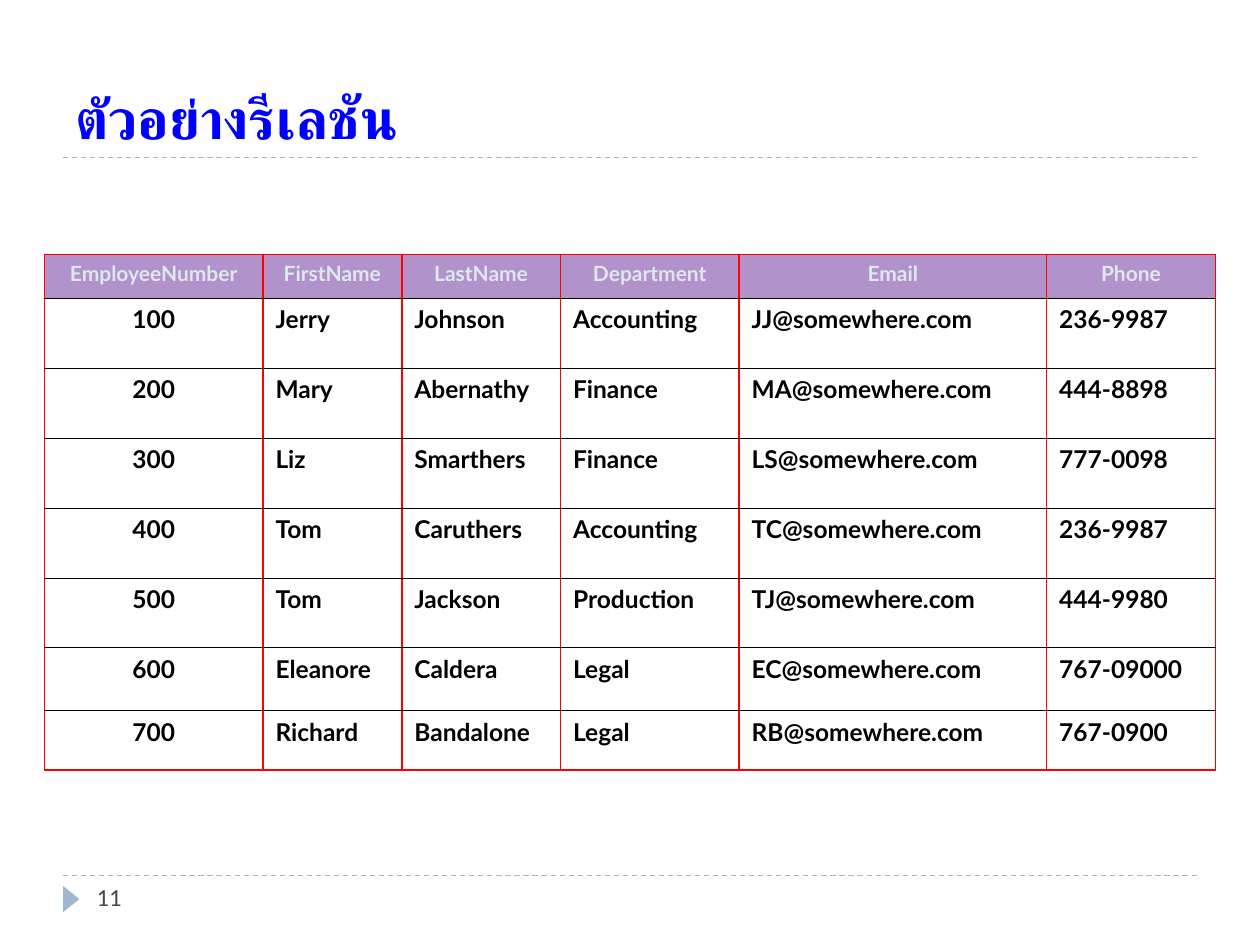
from typing import NamedTuple

from lxml.etree import SubElement
from pptx import Presentation
from pptx.dml.color import RGBColor
from pptx.enum.dml import MSO_LINE_DASH_STYLE as Dash
from pptx.enum.shapes import MSO_CONNECTOR as Connector, MSO_SHAPE as Shape
from pptx.enum.text import MSO_ANCHOR as Anchor, PP_ALIGN as Align
from pptx.oxml.ns import qn
from pptx.util import Cm, Pt

ACCENT = "9FB8CD"
RED = "FF0000"
BLACK = "000000"


class Column(NamedTuple):
    heading: str
    width: float
    align: Align = Align.LEFT


class Employee(NamedTuple):
    number: str
    first_name: str
    last_name: str
    department: str
    email: str
    phone: str
    height: float = 1.41


class Border(NamedTuple):
    tag: str
    color: str
    points: float


COLUMNS = [
    Column("EmployeeNumber", 4.4, Align.CENTER),
    Column("FirstName", 2.8),
    Column("LastName", 3.2),
    Column("Department", 3.6),
    Column("Email", 6.2),
    Column("Phone", 3.4),
]
EMPLOYEES = [
    Employee("100", "Jerry", "Johnson", "Accounting", "JJ@somewhere.com", "236-9987"),
    Employee("200", "Mary", "Abernathy", "Finance", "MA@somewhere.com", "444-8898"),
    Employee("300", "Liz", "Smarthers", "Finance", "LS@somewhere.com", "777-0098"),
    Employee("400", "Tom", "Caruthers", "Accounting", "TC@somewhere.com", "236-9987"),
    Employee("500", "Tom", "Jackson", "Production", "TJ@somewhere.com", "444-9980"),
    Employee("600", "Eleanore", "Caldera", "Legal", "EC@somewhere.com", "767-09000", 1.27),
    Employee("700", "Richard", "Bandalone", "Legal", "RB@somewhere.com", "767-0900", 1.19),
]
HEADER_HEIGHT = 0.88


def rgb(color: str) -> RGBColor:
    return RGBColor.from_string(color)


def write_text(frame, text: str, *, size: float, font: str, color: str,
               bold: bool = False, align: Align = Align.LEFT) -> None:
    paragraph = frame.paragraphs[0]
    paragraph.alignment = align
    run = paragraph.add_run()
    run.text = text
    run.font.size = Pt(size)
    run.font.name = font
    run.font.bold = bold
    run.font.color.rgb = rgb(color)
    SubElement(run.font._element, qn("a:cs"), typeface=font)


def add_text(slide, text: str, left: float, top: float, width: float,
             height: float, anchor: Anchor = Anchor.TOP, **text_format) -> None:
    frame = slide.shapes.add_textbox(Cm(left), Cm(top), Cm(width), Cm(height)).text_frame
    frame.word_wrap = True
    frame.vertical_anchor = anchor
    write_text(frame, text, **text_format)


def add_rule(slide, top: float) -> None:
    rule = slide.shapes.add_connector(Connector.STRAIGHT, Cm(1.27), Cm(top), Cm(24.13), Cm(top))
    rule.line.color.rgb = rgb(ACCENT)
    rule.line.width = Pt(0.75)
    rule.line.dash_style = Dash.DASH
    SubElement(rule._element.spPr, qn("a:effectLst"))


def add_marker(slide) -> None:
    marker = slide.shapes.add_shape(Shape.ISOSCELES_TRIANGLE, Cm(1.17), Cm(17.96), Cm(0.53), Cm(0.33))
    marker.rotation = 90
    marker.shadow.inherit = False
    marker.fill.solid()
    marker.fill.fore_color.rgb = rgb(ACCENT)
    marker.line.fill.background()


def set_borders(cell, borders: list[Border]) -> None:
    properties = cell._tc.get_or_add_tcPr()
    for index, border in enumerate(borders):
        line = properties.makeelement(qn(f"a:{border.tag}"), {"w": str(Pt(border.points))})
        fill = SubElement(line, qn("a:solidFill"))
        SubElement(fill, qn("a:srgbClr"), val=border.color)
        properties.insert(index, line)


def add_employee_table(slide) -> None:
    heights = [HEADER_HEIGHT] + [employee.height for employee in EMPLOYEES]
    width = sum(column.width for column in COLUMNS)
    table = slide.shapes.add_table(
        len(heights), len(COLUMNS), Cm(0.9), Cm(5.13), Cm(width), Cm(sum(heights))
    ).table
    table.horz_banding = False
    for table_column, column in zip(table.columns, COLUMNS):
        table_column.width = Cm(column.width)
    for table_row, height in zip(table.rows, heights):
        table_row.height = Cm(height)

    edge = (RED, 1)
    inner = (BLACK, 0.5)
    last = len(heights) - 1
    rows = [[column.heading for column in COLUMNS]] + [employee[:6] for employee in EMPLOYEES]
    for row_index, values in enumerate(rows):
        header = row_index == 0
        for column_index, (column, value) in enumerate(zip(COLUMNS, values)):
            cell = table.cell(row_index, column_index)
            if header:
                cell.fill.solid()
                cell.fill.fore_color.rgb = rgb("B292CA")
            else:
                cell.fill.background()
            write_text(
                cell.text_frame, value, font="Lato", bold=True,
                size=12 if header else 14,
                color="DDE9EC" if header else BLACK,
                align=Align.CENTER if header else column.align,
            )
            set_borders(cell, [
                Border("lnL", *edge),
                Border("lnR", *edge),
                Border("lnT", *(edge if header else inner)),
                Border("lnB", *(edge if row_index == last else inner)),
            ])


def main() -> None:
    presentation = Presentation()
    presentation.slide_width = Cm(25.4)
    presentation.slide_height = Cm(19.05)
    slide = presentation.slides.add_slide(presentation.slide_layouts[6])
    for top in (17.65, 3.18):
        add_rule(slide, top)
    add_marker(slide)
    add_text(slide, "ตัวอย่างรีเลชัน", 1.27, 0.43, 22.86, 2.74, Anchor.BOTTOM,
             size=32, font="Roboto Slab", color="0000FF", bold=True)
    add_employee_table(slide)
    add_text(slide, "11", 1.7, 17.65, 5.5, 1.02, size=14, font="Calibri", color="464653")
    presentation.save("out.pptx")


if __name__ == "__main__":
    main()
